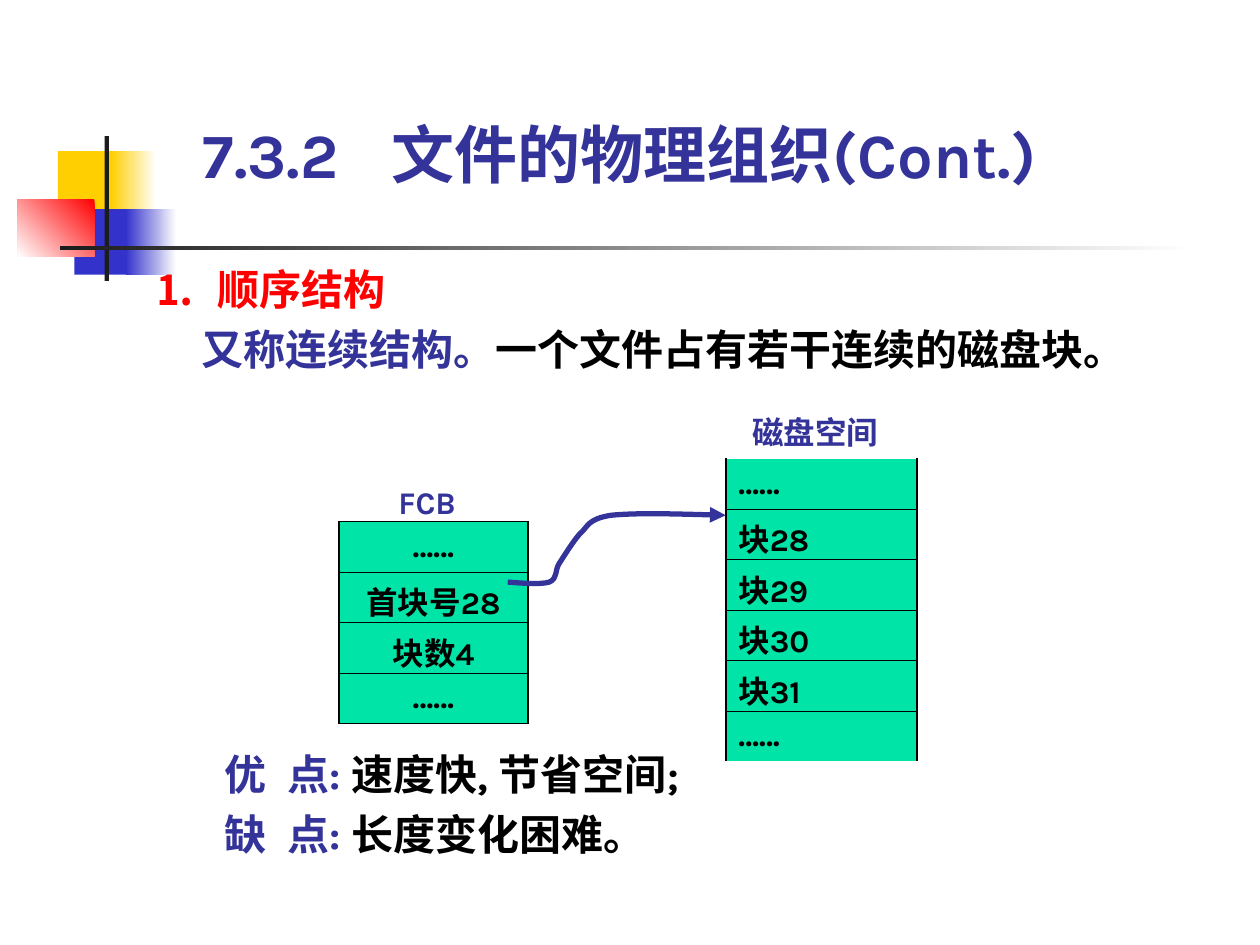
from lxml.etree import SubElement
from pptx import Presentation
from pptx.dml.color import RGBColor
from pptx.enum.shapes import MSO_SHAPE as Shape
from pptx.enum.text import MSO_ANCHOR as Anchor, MSO_AUTO_SIZE as AutoSize, PP_ALIGN as Align
from pptx.oxml.ns import qn
from pptx.util import Inches, Pt

BLUE, RED, BLACK, WHITE = "333399", "FF0000", "000000", "FFFFFF"
GOLD, ROYAL, CHARCOAL, GREEN = "FFCF01", "3333CC", "1C1C1C", "00E4A8"


def rgb(code):
    return RGBColor.from_string(code)


def grid(*cells):
    """Turn columns and rows of a 100 by 75 grid into lengths."""
    return [Inches(cell / 10) for cell in cells]


def write(para, text, size=24, color=BLACK, font="Karla"):
    span = para.add_run()
    span.text = text
    span.font.name, span.font.size, span.font.bold = font, Pt(size), True
    span.font.color.rgb = rgb(color)


def add_border(cell, side, width):
    line = SubElement(cell._tc.get_or_add_tcPr(), qn(f"a:{side}"), w=str(Pt(width)))
    fill = SubElement(line, qn("a:solidFill"))
    SubElement(fill, qn("a:srgbClr"), val=BLACK)


class SlideBuilder:
    def __init__(self, deck):
        self.page = deck.slides.add_slide(deck.slide_layouts[1])

    def block(self, at, color, fade=None, angle=180):
        """Draw a rectangle, plain or fading between two colours."""
        box = self.page.shapes.add_shape(Shape.RECTANGLE, *grid(*at))
        box.shadow.inherit = False
        box.line.fill.background()
        if fade is None:
            box.fill.solid()
            box.fill.fore_color.rgb = rgb(color)
            return
        box.fill.gradient()
        box.fill.gradient_angle = angle
        for stop, code in zip(box.fill.gradient_stops, (color, fade)):
            stop.color.rgb = rgb(code)

    def fill_text(self, box, lines, size=24, align=Align.LEFT, anchor=Anchor.TOP,
                  spacing=1.0, tab=None, indents=()):
        """Write lines, each a list of (text, colour) spans."""
        frame = box.text_frame
        frame.word_wrap, frame.auto_size = True, AutoSize.SHAPE_TO_FIT_TEXT
        frame.vertical_anchor = anchor
        frame.margin_left = frame.margin_right = frame.margin_top = frame.margin_bottom = 0
        for index, spans in enumerate(lines):
            para = frame.add_paragraph() if index else frame.paragraphs[0]
            props = para._p.get_or_add_pPr()
            props.set("marL", str(grid(indents[index] if indents else 0)[0]))
            props.set("indent", "0")
            SubElement(props, qn("a:buNone"))
            if tab:
                stops = SubElement(props, qn("a:tabLst"))
                SubElement(stops, qn("a:tab"), pos=str(grid(tab)[0]), algn="l")
            para.alignment, para.line_spacing = align, spacing
            para.space_before = Pt(0)
            for text, color in spans:
                write(para, text, size, color)

    def placeholder(self, index, at, lines, **style):
        box = self.page.placeholders[index]
        box.left, box.top, box.width, box.height = grid(*at)
        self.page.shapes._spTree.append(box._element)  # in front of the blocks
        self.fill_text(box, lines, **style)

    def text(self, at, lines, **style):
        self.fill_text(self.page.shapes.add_textbox(*grid(*at)), lines, **style)

    def label(self, at, text):
        self.text(at, [[(text, BLUE)]], size=18, align=Align.CENTER)

    def stack(self, at, labels, align, closed):
        """Draw a one-column table; closed draws its top and bottom edges."""
        table = self.page.shapes.add_table(len(labels), 1, *grid(*at)).table
        table.first_row = table.horz_banding = False
        last = len(labels) - 1
        for index, text in enumerate(labels):
            cell = table.cell(index, 0)
            cell.vertical_anchor = Anchor.MIDDLE
            para = cell.text_frame.paragraphs[0]
            para.alignment = align
            write(para, text, 18)
            edge = 1.08 if closed else None
            widths = {"lnL": 1.08, "lnR": 1.08,
                      "lnT": 0.45 if index else edge,
                      "lnB": 0.45 if index < last else edge}
            for side, width in widths.items():
                if width:
                    add_border(cell, side, width)
            cell.fill.solid()
            cell.fill.fore_color.rgb = rgb(GREEN)

    def curved_arrow(self, points, color, width):
        """Draw Bezier curves: a start, then three points for each curve."""
        start, *rest = [grid(*point) for point in points]
        builder = self.page.shapes.build_freeform(*start)
        builder.add_line_segments(rest, close=False)
        arrow = builder.convert_to_shape()
        arrow.shadow.inherit = False
        arrow.fill.background()
        arrow.line.color.rgb, arrow.line.width = rgb(color), Pt(width)
        SubElement(arrow.line._get_or_add_ln(), qn("a:tailEnd"), type="triangle")
        segments = list(arrow._element.iter(qn("a:lnTo")))
        outline = segments[0].getparent()
        for first in range(0, len(segments), 3):
            curve = SubElement(outline, qn("a:cubicBezTo"))
            for segment in segments[first:first + 3]:
                curve.append(segment[0])
                outline.remove(segment)


def main():
    deck = Presentation()
    deck.slide_width, deck.slide_height = grid(100, 75)
    slide = SlideBuilder(deck)

    slide.block((4.6, 12, 4.8, 5.2), GOLD)
    slide.block((8.8, 12, 3.6, 5.2), WHITE, fade=GOLD)
    slide.block((5.9, 16.6, 4.6, 5.2), ROYAL)
    slide.block((10, 16.6, 4, 5.2), WHITE, fade=ROYAL)
    slide.block((1.4, 15.8, 6.1, 4.6), RED, fade=WHITE, angle=225)
    slide.block((8.3, 10.8, 0.35, 11.5), CHARCOAL)
    slide.block((4.8, 19.5, 90, 0.35), WHITE, fade=CHARCOAL)

    slide.placeholder(0, (16.1, 9.2, 71.6, 6), [[("7.3.2\t文件的物理组织(Cont.)", BLUE)]],
                      size=36, anchor=Anchor.BOTTOM, tab=14.6)
    slide.placeholder(1, (12.3, 20.1, 78.7, 9.6), [
        [("⒈\t顺序结构", RED)],
        [("又称连续结构。", BLUE), ("一个文件占有若干连续的磁盘块。", BLACK)],
    ], spacing=1.2, tab=4.7, indents=(0, 3.7))

    slide.label((30.8, 38.3, 6.2, 3), "FCB")
    slide.stack((26.9, 41.4, 15, 12.6), ["……", "首块号28", "块数4", "……"],
                Align.CENTER, closed=True)
    slide.stack((57.6, 36.4, 15.2, 22.4),
                ["……", *(f"块{number}" for number in range(28, 32)), "……"],
                Align.LEFT, closed=False)
    slide.label((59.2, 32.8, 11, 3), "磁盘空间")
    slide.text((17.8, 58.6, 39.3, 14.4), [
        [("优\t点: ", BLUE), ("速度快, 节省空间;", BLACK)],
        [("缺\t点: ", BLUE), ("长度变化困难。", BLACK)],
    ], spacing=1.2, tab=4.9)
    slide.curved_arrow([
        (40.3, 46.2),
        (41.6, 46.3), (42.9, 46.4), (43.6, 46.2),
        (44.3, 45.9), (44, 45.3), (44.4, 44.7),
        (44.8, 44.1), (45.4, 43.1), (46, 42.4),
        (46.7, 41.8), (46.6, 41.2), (48.5, 40.9),
        (50.5, 40.7), (54, 40.8), (57.6, 40.9),
    ], BLUE, 3)

    deck.save("out.pptx")


if __name__ == "__main__":
    main()
